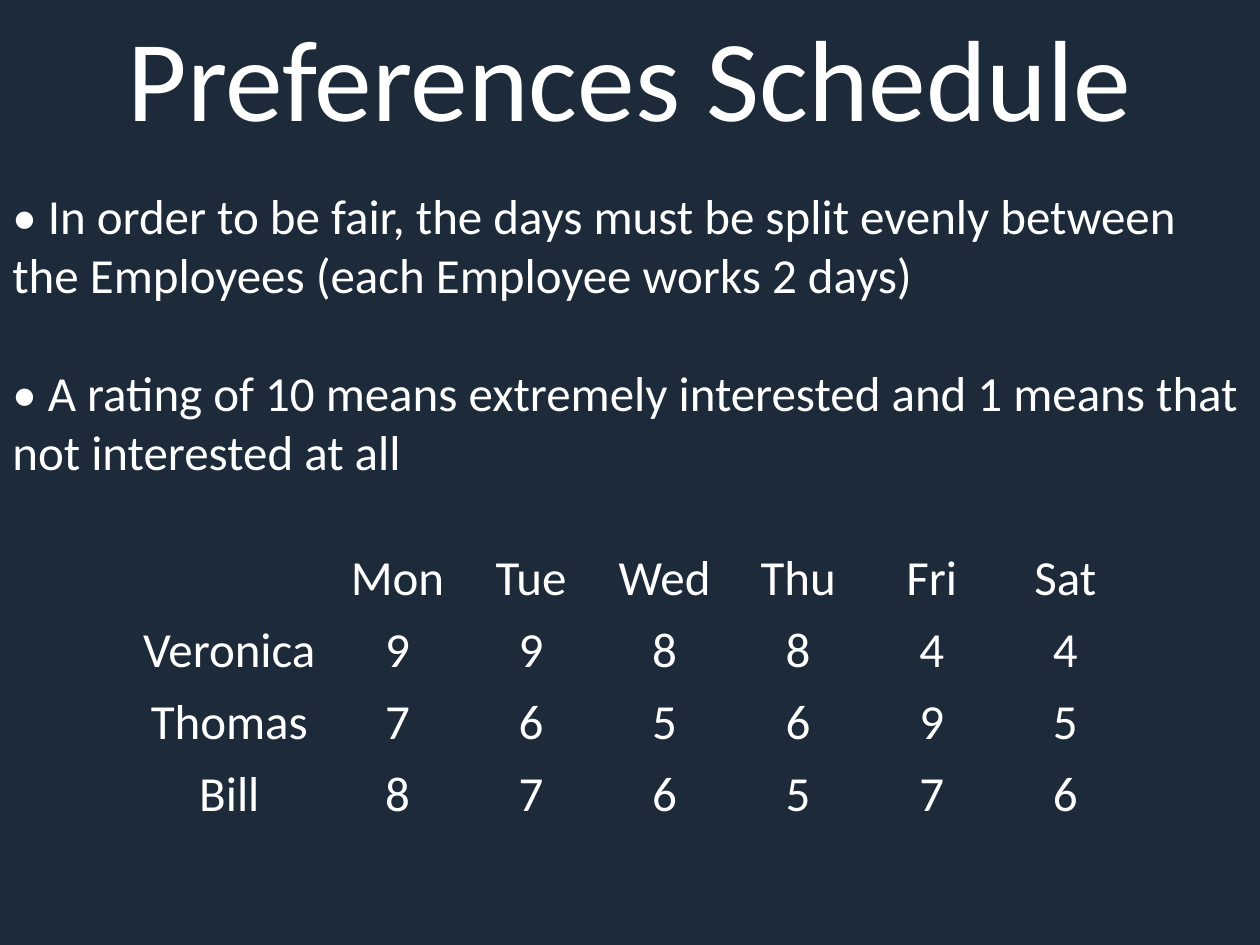
"""Build the preferences schedule slide."""
from dataclasses import dataclass

from pptx import Presentation
from pptx import util as u
from pptx.dml import color
from pptx.enum import text


@dataclass(frozen=True)
class Theme:
    back: color.RGBColor = color.RGBColor(0x1D, 0x2A, 0x39)
    ink: color.RGBColor = color.RGBColor(0xFF, 0xFF, 0xFF)
    face: str = "Calibri"
    title: int = 66
    body: int = 28
    gap: int = 34
    plain: str = "{2D5ABB26-0587-4C30-8999-92F81FD0307C}"


@dataclass(frozen=True)
class Box:
    left: float
    top: float
    width: float
    height: float

    def place(self) -> tuple:
        return (u.Inches(WIDE * self.left), u.Inches(HIGH * self.top),
                u.Inches(WIDE * self.width), u.Inches(HIGH * self.height))


@dataclass(frozen=True)
class Note:
    box: Box
    lines: tuple
    size: int
    align: text.PP_ALIGN


WIDE, HIGH = 10, 7.5
THEME = Theme()
LEFT, CENTER = text.PP_ALIGN.LEFT, text.PP_ALIGN.CENTER
NAME_COL, DAY_COL, ROW = 1.61, 1.06, 0.57
NOTES = (
    Note(Box(0, 0, 1, 0.16), ("Preferences Schedule",), THEME.title, CENTER),
    Note(Box(0, 0.19, 1, 0.33), (
        "• In order to be fair, the days must be split evenly between "
        "the Employees (each Employee works 2 days)",
        "• A rating of 10 means extremely interested and 1 means that "
        "not interested at all",
    ), THEME.body, LEFT),
)
RATINGS = (
    ("", "Mon", "Tue", "Wed", "Thu", "Fri", "Sat"),
    ("Veronica", 9, 9, 8, 8, 4, 4),
    ("Thomas", 7, 6, 5, 6, 9, 5),
    ("Bill", 8, 7, 6, 5, 7, 6),
)


def style(para, size: int, align: text.PP_ALIGN) -> None:
    para.alignment = align
    font = para.font
    font.name, font.size = THEME.face, u.Pt(size)
    font.color.rgb = THEME.ink


def add_note(slide, note: Note) -> None:
    frame = slide.shapes.add_textbox(*note.box.place()).text_frame
    frame.word_wrap = True
    frame.text = "\n".join(note.lines)
    for index, para in enumerate(frame.paragraphs):
        style(para, note.size, note.align)
        if index:
            para.space_before = u.Pt(THEME.gap)


def add_grid(slide, rows: tuple) -> None:
    days = len(rows[0]) - 1
    width, height = NAME_COL + days * DAY_COL, ROW * len(rows)
    box = Box((1 - width / WIDE) / 2, 0.575, width / WIDE, height / HIGH)
    frame = slide.shapes.add_table(len(rows), days + 1, *box.place())
    grid = frame.table
    grid.first_row = grid.horz_banding = False
    grid._tbl.tblPr.find("{*}tableStyleId").text = THEME.plain
    for index, col in enumerate(grid.columns):
        col.width = u.Inches(DAY_COL if index else NAME_COL)
    for line, row in zip(grid.rows, rows):
        line.height = u.Inches(ROW)
        for cell, value in zip(line.cells, row):
            cell.fill.background()
            cell.margin_top = cell.margin_bottom = u.Inches(0.04)
            cell.vertical_anchor = text.MSO_ANCHOR.MIDDLE
            cell.text = str(value)
            style(cell.text_frame.paragraphs[0], THEME.body, CENTER)


def main() -> None:
    deck = Presentation()
    deck.slide_width, deck.slide_height = u.Inches(WIDE), u.Inches(HIGH)
    slide = deck.slides.add_slide(deck.slide_layouts[6])
    fill = slide.background.fill
    fill.solid()
    fill.fore_color.rgb = THEME.back
    for note in NOTES:
        add_note(slide, note)
    add_grid(slide, RATINGS)
    deck.save("out.pptx")


if __name__ == "__main__":
    main()
